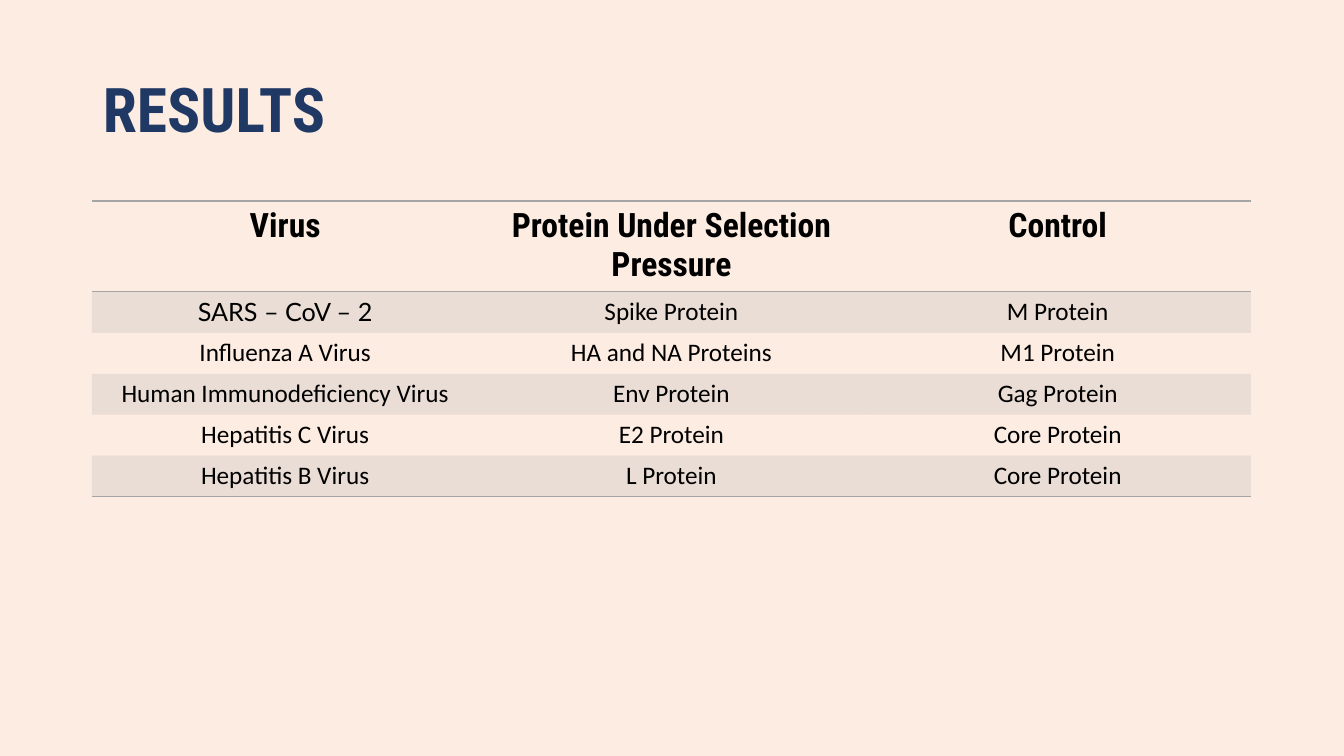
from lxml.etree import SubElement
from pptx import Presentation
from pptx.dml.color import RGBColor
from pptx.enum.text import MSO_ANCHOR, PP_ALIGN
from pptx.oxml.ns import qn
from pptx.util import Emu, Pt

PLAIN_TABLE = "{2D5ABB26-0587-4C30-8999-92F81FD0307C}"
GREY = "A5A5A5"
TITLE = dict(name="Roboto Condensed", size=Pt(44), bold=True)
HEADER = dict(name="Roboto Condensed", size=Pt(24), bold=True)
BODY = dict(name="Calibri", size=Pt(18), bold=False)
FIRST_VIRUS = dict(BODY, name="Lato")

ROWS = [
    ("Virus", "Protein Under Selection Pressure", "Control"),
    ("SARS – CoV – 2", "Spike Protein", "M Protein"),
    ("Influenza A Virus", "HA and NA Proteins", "M1 Protein"),
    ("Human Immunodeficiency Virus", "Env Protein", "Gag Protein"),
    ("Hepatitis C Virus", "E2 Protein", "Core Protein"),
    ("Hepatitis B Virus", "L Protein", "Core Protein"),
]


def px(n):
    return Emu(round(n * 914400 / 100.8))


def rgb(value):
    return RGBColor.from_string(value)


class SlideBuilder:
    def __init__(self, prs, background):
        self.s = prs.slides.add_slide(prs.slide_layouts[6])
        fill = self.s.background.fill
        fill.solid()
        fill.fore_color.rgb = rgb(background)

    def add_text(self, p, text, style, color="000000"):
        r = p.add_run()
        r.text = text
        for key, value in style.items():
            setattr(r.font, key, value)
        r.font.color.rgb = rgb(color)

    def title(self, text, x, y, w, h):
        tf = self.s.shapes.add_textbox(px(x), px(y), px(w), px(h)).text_frame
        tf.word_wrap = True
        tf.vertical_anchor = MSO_ANCHOR.MIDDLE
        p = tf.paragraphs[0]
        p.line_spacing = 0.9
        self.add_text(p, text, TITLE, "203864")

    def border(self, cell, side):
        """Rule one side of a cell; call before filling, as lines come first in tcPr."""
        ln = SubElement(cell._tc.get_or_add_tcPr(), qn(f"a:ln{side}"), w=str(Pt(1)))
        SubElement(SubElement(ln, qn("a:solidFill")), qn("a:srgbClr"), val=GREY)

    def band(self, cell):
        """Fill a cell with grey at 20 % opacity."""
        cell.fill.solid()
        cell.fill.fore_color.rgb = rgb(GREY)
        color = cell._tc.tcPr.find(qn("a:solidFill")).find(qn("a:srgbClr"))
        SubElement(color, qn("a:alpha"), val="20000")

    def table(self, rows, x, y, w, header_h, row_h):
        heights = [header_h] + [row_h] * (len(rows) - 1)
        table = self.s.shapes.add_table(len(rows), len(rows[0]), px(x), px(y),
                                        px(w), px(sum(heights))).table
        table._tbl.tblPr.find(qn("a:tableStyleId")).text = PLAIN_TABLE
        last = len(rows) - 1
        for i, row in enumerate(rows):
            table.rows[i].height = px(heights[i])
            for j, text in enumerate(row):
                cell = table.cell(i, j)
                p = cell.text_frame.paragraphs[0]
                p.alignment = PP_ALIGN.CENTER
                style = HEADER if i == 0 else FIRST_VIRUS if (i, j) == (1, 0) else BODY
                self.add_text(p, text, style)
                for side in {0: "TB", last: "B"}.get(i, ""):
                    self.border(cell, side)
                if i % 2:
                    self.band(cell)
                else:
                    cell.fill.background()


def main():
    prs = Presentation()
    prs.slide_width, prs.slide_height = px(1344), px(756)
    slide = SlideBuilder(prs, "FCECE1")
    slide.title("RESULTS", 93, 40, 1159, 146)
    slide.table(ROWS, 92, 201, 1159, 89, 41)
    prs.save("out.pptx")


if __name__ == "__main__":
    main()
